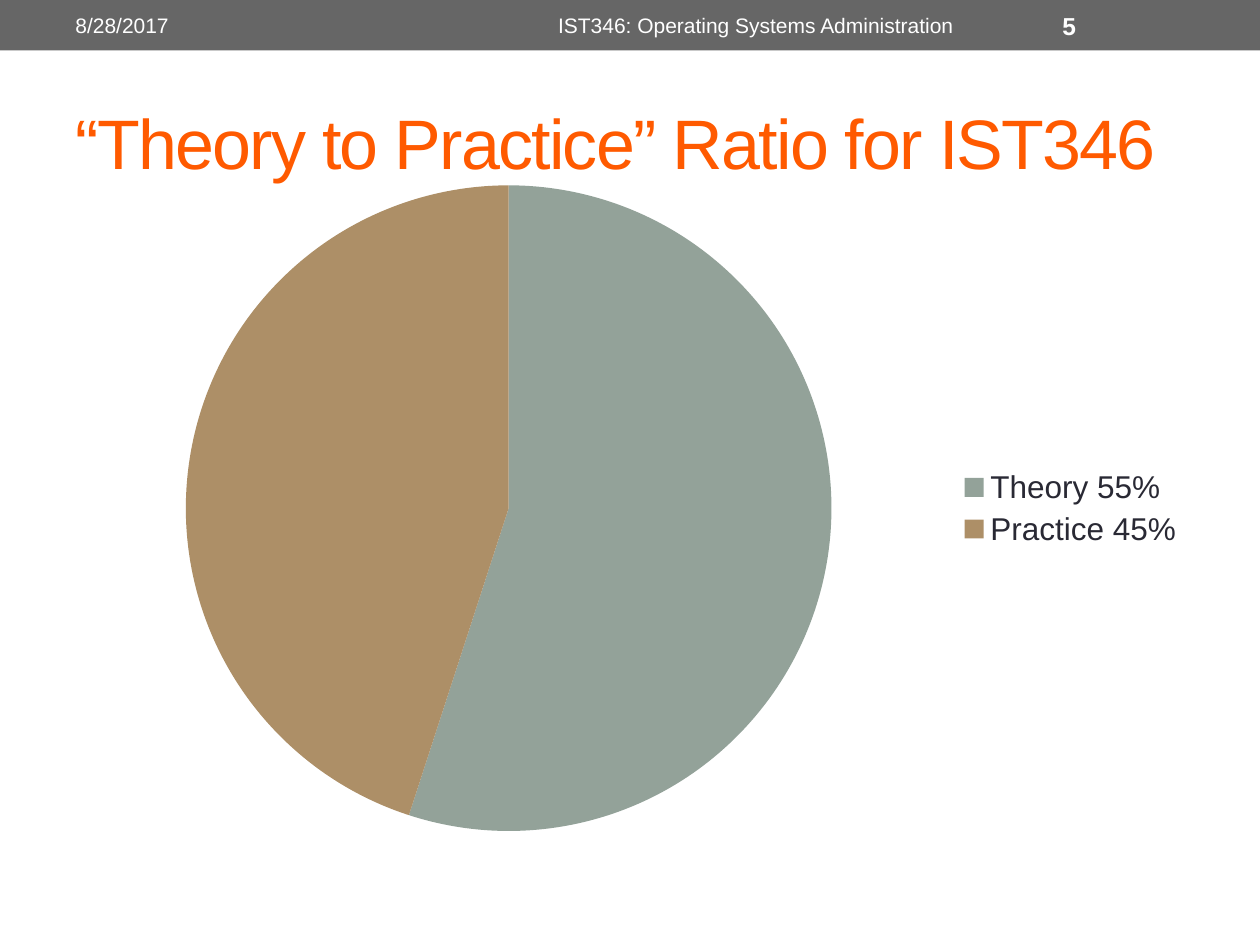
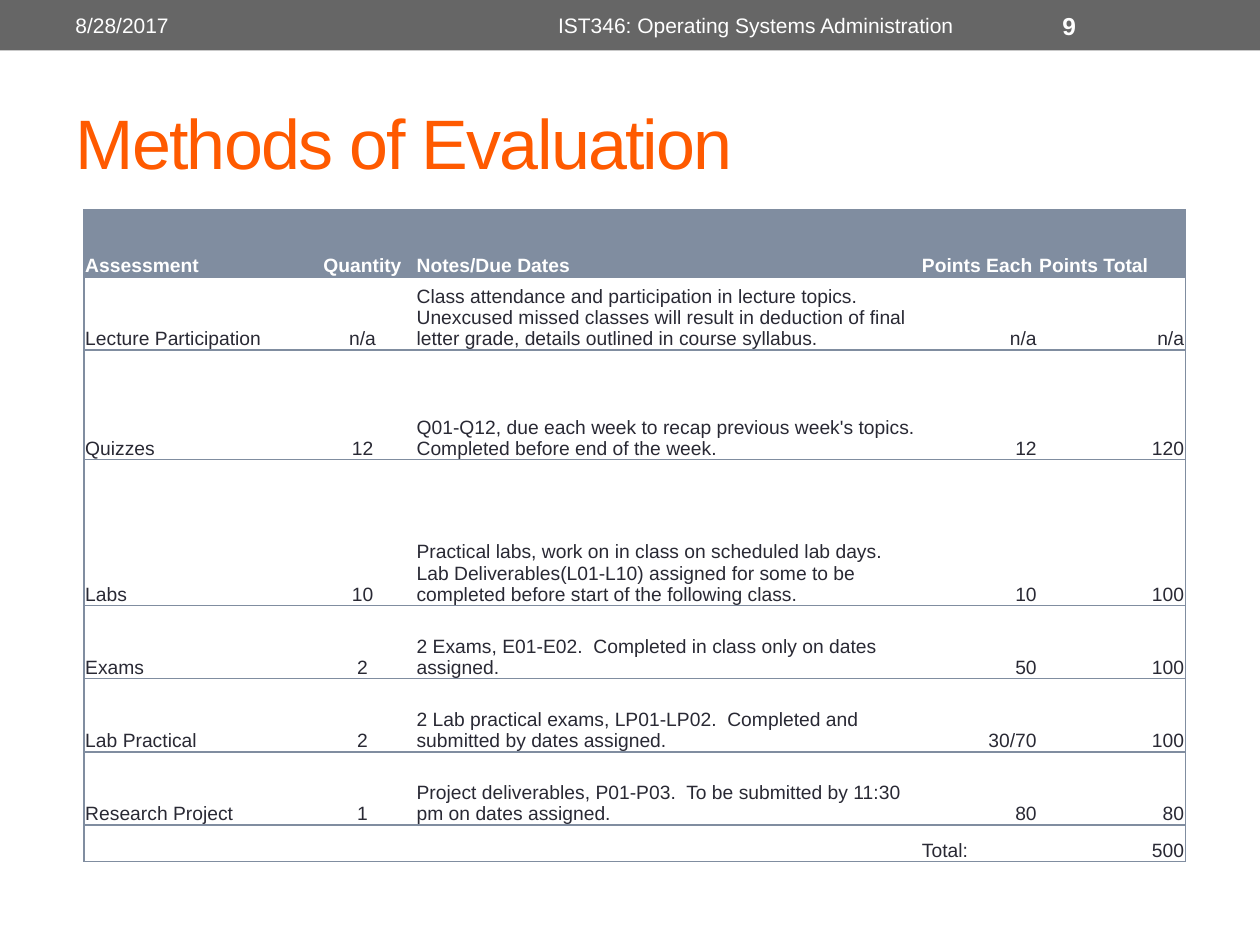
"""Build two course slides: a theory/practice pie and a grading table."""
import pptx
import pptx.chart.data
import pptx.dml.color
import pptx.enum.chart
import pptx.enum.shapes
import pptx.enum.text
import pptx.oxml
import pptx.oxml.ns
import pptx.util
from lxml import etree

Pt = pptx.util.Pt
RGB = pptx.dml.color.RGBColor
ALIGN = pptx.enum.text.PP_ALIGN
ANCHOR = pptx.enum.text.MSO_ANCHOR
qn = pptx.oxml.ns.qn

WHITE = RGB(0xFF, 0xFF, 0xFF)
GRAY = RGB(0x66, 0x66, 0x66)
ORANGE = RGB(0xFF, 0x5A, 0x00)
INK = RGB(0x29, 0x29, 0x34)
SLATE = RGB(0x80, 0x8D, 0xA0)
SAGE = RGB(0x93, 0xA2, 0x99)
TAN = RGB(0xAD, 0x8F, 0x67)

FACE = "Arial"
WIDE = 720
NO_STYLE = "{2D5ABB26-0587-4C30-8999-92F81FD0307C}"
BAND = [
    (36, 228, "8/28/2017", ALIGN.LEFT, 12, False),
    (270, 324, "IST346: Operating Systems Administration", ALIGN.CENTER, 12, False),
]
SHARES = {"Theory 55%": (55, SAGE), "Practice 45%": (45, TAN)}
COLS = [129, 60.4, 288.8, 67, 84.2]
HEIGHTS = [38.2, 41.8, 62.6, 83.5, 41.8, 41.8, 41.8, 20.9]
SIDES = [ALIGN.LEFT, ALIGN.CENTER, ALIGN.LEFT, ALIGN.RIGHT, ALIGN.RIGHT]
GRADES = [
    ("Assessment", "Quantity", "Notes/Due Dates", "Points Each", "Points Total"),
    ("Lecture Participation", "n/a",
     "Class attendance and participation in lecture topics.  Unexcused missed classes will "
     "result in deduction of final letter grade, details outlined in course syllabus.",
     "n/a", "n/a"),
    ("Quizzes", "12",
     "Q01-Q12, due each week to recap previous week's topics. "
     "Completed before end of the week.", "12", "120"),
    ("Labs", "10",
     "Practical labs, work on in class on scheduled lab days.  Lab Deliverables(L01-L10) "
     "assigned for some to be completed before start of the following class.",
     "10", "100"),
    ("Exams", "2",
     "2 Exams, E01-E02.  Completed in class only on dates assigned.", "50", "100"),
    ("Lab Practical", "2",
     "2 Lab practical exams, LP01-LP02.  Completed and submitted by dates assigned.",
     "30/70", "100"),
    ("Research Project", "1",
     "Project deliverables, P01-P03.  To be submitted by 11:30 pm on dates assigned.",
     "80", "80"),
    ("", "", "", "Total:", "500"),
]


def apply(obj, **values):
    """Set each named attribute of an object."""
    for name, value in values.items():
        setattr(obj, name, value)


def style(font, size, color, bold=False):
    """Format a font."""
    apply(font, name=FACE, size=Pt(size), bold=bold)
    font.color.rgb = color


def write(para, text, size, color, bold=False, align=ALIGN.LEFT):
    """Put one formatted run in a paragraph."""
    para.alignment = align
    run = para.add_run()
    run.text = text
    style(run.font, size, color, bold)
    return run


def label(slide, left, width, text, align, size, bold):
    """Add a white text box to the top band."""
    box = slide.shapes.add_textbox(Pt(left), Pt(1.5), Pt(width), Pt(26))
    apply(box.text_frame, word_wrap=True, vertical_anchor=ANCHOR.MIDDLE)
    write(box.text_frame.paragraphs[0], text, size, WHITE, bold, align)


def start(deck, title, number):
    """Add a slide with its band, labels and title."""
    slide = deck.slides.add_slide(deck.slide_layouts[5])
    band = slide.shapes.add_shape(
        pptx.enum.shapes.MSO_SHAPE.RECTANGLE, 0, 0, Pt(WIDE), Pt(28.8))
    band.shadow.inherit = False
    band.fill.solid()
    band.fill.fore_color.rgb = GRAY
    band.line.fill.background()
    for item in BAND + [(600, 84, number, ALIGN.LEFT, 14, True)]:
        label(slide, *item)
    head = slide.shapes.title
    apply(head, left=Pt(36), top=Pt(42), width=Pt(648), height=Pt(78))
    apply(head.text_frame, word_wrap=True, vertical_anchor=ANCHOR.MIDDLE,
          auto_size=pptx.enum.text.MSO_AUTO_SIZE.NONE)
    run = write(head.text_frame.paragraphs[0], title, 40, ORANGE)
    run.font._element.set("spc", "-100")
    return slide


def add_pie(slide, shares):
    """Add the pie chart with a legend at its right."""
    data = pptx.chart.data.CategoryChartData()
    data.categories = list(shares)
    data.add_series("Series 1", [value for value, _ in shares.values()])
    chart = slide.shapes.add_chart(
        pptx.enum.chart.XL_CHART_TYPE.PIE,
        Pt(36), Pt(96), Pt(648), Pt(388.8), data).chart
    apply(chart, has_title=False, has_legend=True)
    style(chart.font, 18, INK)
    apply(chart.legend, include_in_layout=False,
          position=pptx.enum.chart.XL_LEGEND_POSITION.RIGHT)
    plot = chart.plots[0]
    plot.vary_by_categories = True
    for index, (_, color) in enumerate(shares.values()):
        fill = plot.series[0].points[index].format.fill
        fill.solid()
        fill.fore_color.rgb = color


def edge(cell, tags):
    """Draw the named cell borders."""
    props = cell._tc.get_or_add_tcPr()
    for tag in tags:
        line = etree.SubElement(props, qn("a:" + tag), w=str(Pt(1)))
        fill = etree.SubElement(line, qn("a:solidFill"))
        etree.SubElement(fill, qn("a:srgbClr"), val=str(SLATE))


def fill_cell(cell, text, align, head, tags):
    """Fill and format one table cell."""
    edge(cell, tags)
    apply(cell, vertical_anchor=ANCHOR.BOTTOM, margin_left=Pt(0.72),
          margin_right=Pt(0.72), margin_top=Pt(0.72), margin_bottom=0)
    cell.fill.solid()
    cell.fill.fore_color.rgb = SLATE if head else WHITE
    para = cell.text_frame.paragraphs[0]
    if text:
        write(para, text, 11, WHITE if head else INK, head, align)
    else:
        para._p.get_or_add_endParaRPr().set("sz", "1100")


def add_grid(slide, rows):
    """Add the grading table."""
    table = slide.shapes.add_table(
        len(rows), len(COLS), Pt(48), Pt(120),
        Pt(sum(COLS)), Pt(sum(HEIGHTS))).table
    table._tbl.tblPr.find(qn("a:tableStyleId")).text = NO_STYLE
    table.horz_banding = False
    for col, width in zip(table.columns, COLS):
        col.width = Pt(width)
    last = len(COLS) - 1
    for r, row in enumerate(rows):
        table.rows[r].height = Pt(HEIGHTS[r])
        for c, text in enumerate(row):
            head = r == 0
            plain = c > 2 and (head or text == "Total:")
            align = ALIGN.LEFT if plain else SIDES[c]
            tags = ["lnL"] * (c == 0) + ["lnR"] * (c == last) + ["lnT", "lnB"]
            fill_cell(table.cell(r, c), text, align, head, tags)


def main():
    """Build and save the deck."""
    deck = pptx.Presentation()
    apply(deck, slide_width=Pt(WIDE), slide_height=Pt(540))
    add_pie(start(deck, "“Theory to Practice” Ratio for IST346", "5"), SHARES)
    add_grid(start(deck, "Methods of Evaluation", "9"), GRADES)
    deck.save("out.pptx")


if __name__ == "__main__":
    main()
